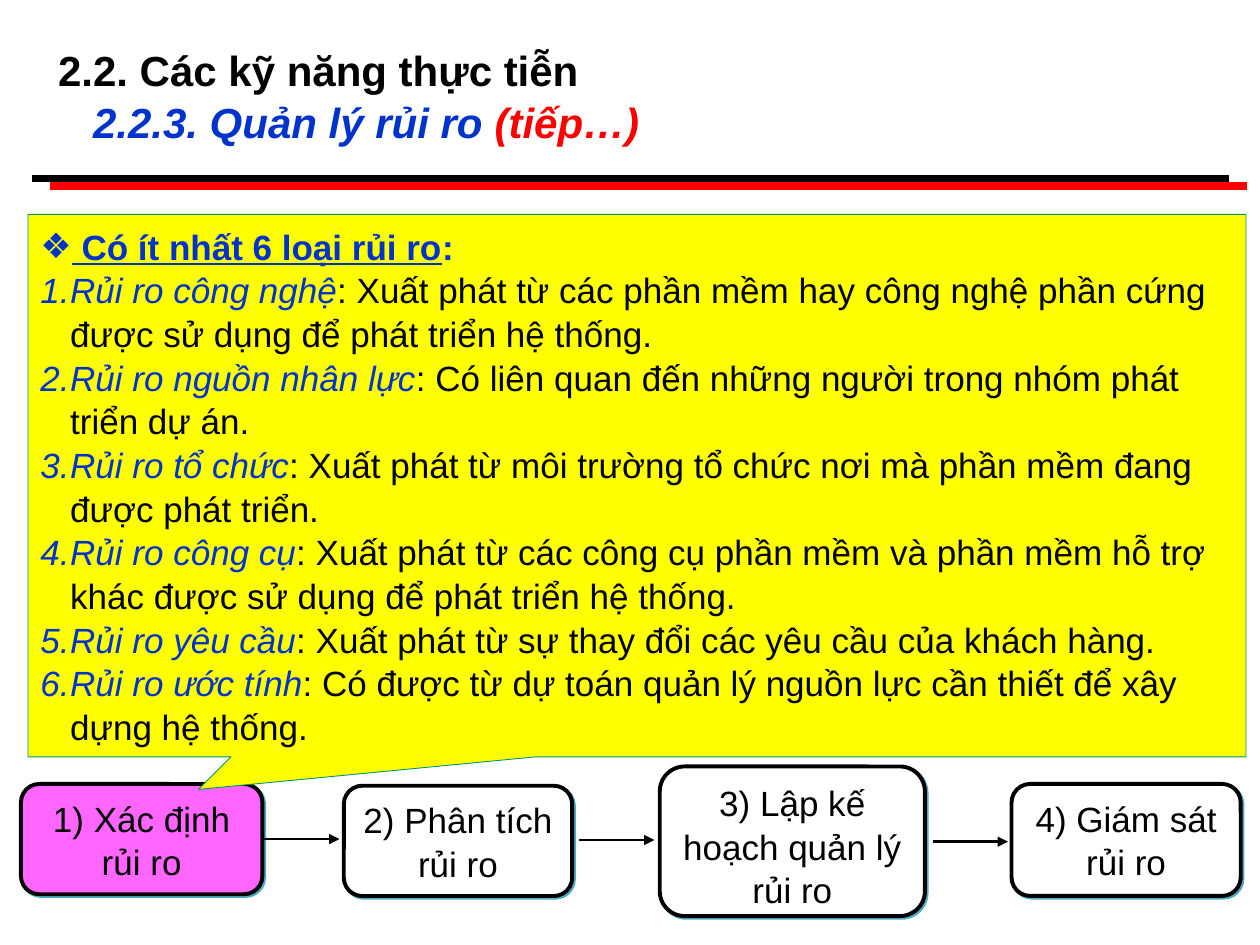
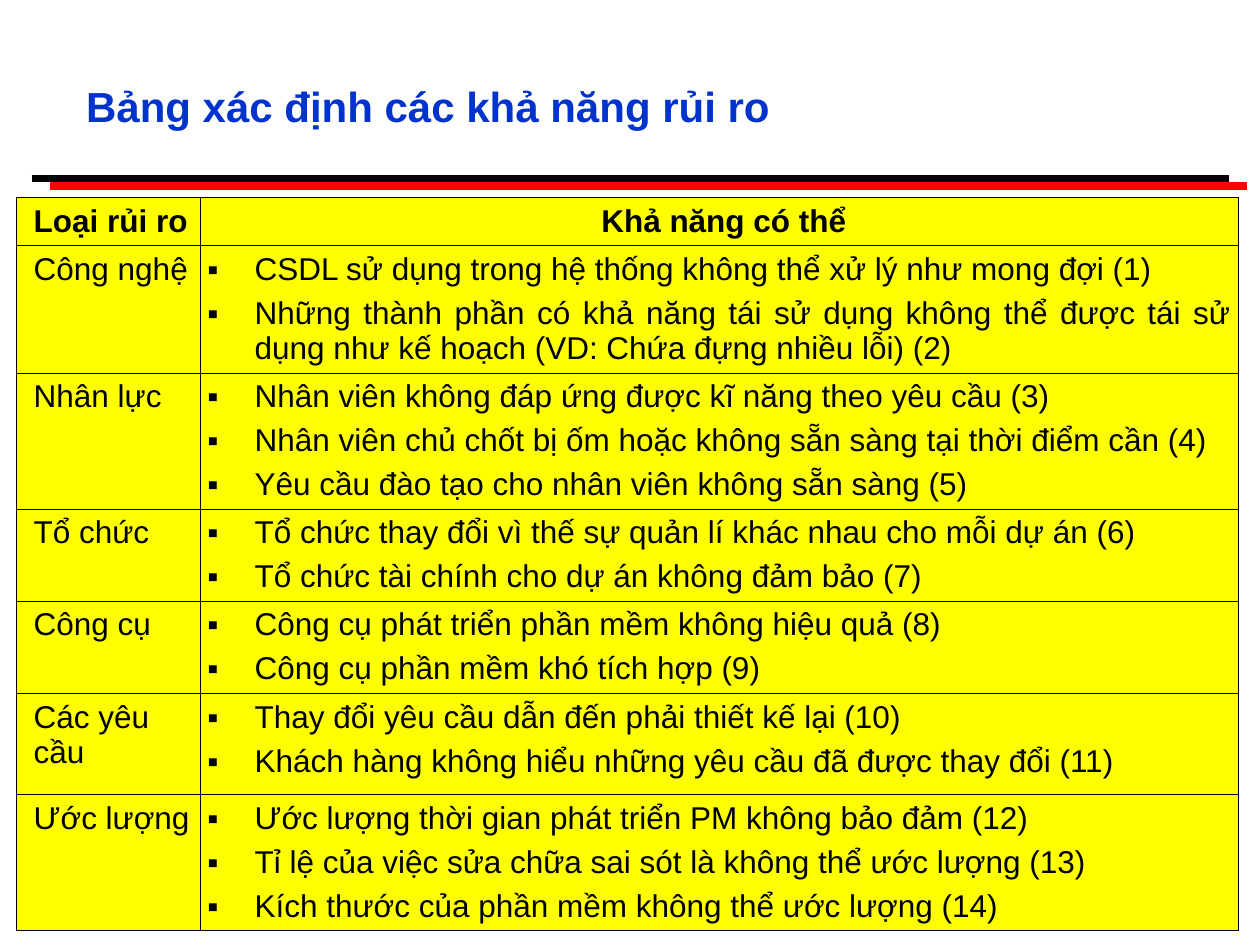
"""Build two slides on software project risks: a process with callout, and a risk table."""
from lxml.etree import SubElement
from pptx import Presentation
from pptx.dml.color import RGBColor
from pptx.enum.shapes import MSO_CONNECTOR as Conn, MSO_SHAPE as Form
from pptx.enum.text import MSO_ANCHOR as Anchor, PP_ALIGN as Align
from pptx.oxml import parse_xml
from pptx.oxml.ns import nsdecls, qn
from pptx.util import Pt

HUES = {
    "black": "000000", "white": "FFFFFF", "red": "FF0000", "blue": "0033CC",
    "yellow": "FFFF00", "pink": "FF66FF", "green": "00956F", "teal": "4BACC6",
}
FONT = "Arial"
LEAD = 1.04

STEPS = [
    ("1) Xác định rủi ro", "pink", (12, 448, 138, 63)),
    ("2) Phân tích rủi ro", "white", (196.5, 449, 130.5, 63)),
    ("3) Lập kế hoạch quản lý rủi ro", "white", (377, 438, 151.5, 85.5)),
    ("4) Giám sát rủi ro", "white", (578, 448, 131, 64)),
]
ARROWS = [(151, 479.5), (331, 480), (533, 481)]
REACH = 43

RISKS = [
    ("Rủi ro công nghệ", "Xuất phát từ các phần mềm hay công nghệ phần cứng "
     "được sử dụng để phát triển hệ thống."),
    ("Rủi ro nguồn nhân lực", "Có liên quan đến những người trong nhóm phát triển dự án."),
    ("Rủi ro tổ chức", "Xuất phát từ môi trường tổ chức nơi mà phần mềm đang được phát triển."),
    ("Rủi ro công cụ", "Xuất phát từ các công cụ phần mềm và phần mềm hỗ trợ khác "
     "được sử dụng để phát triển hệ thống."),
    ("Rủi ro yêu cầu", "Xuất phát từ sự thay đổi các yêu cầu của khách hàng."),
    ("Rủi ro ước tính", "Có được từ dự toán quản lý nguồn lực cần thiết để xây dựng hệ thống."),
]

HEADS = ("Loại rủi ro", "Khả năng có thể")
ROWS = [
    ("Công nghệ", 70, [
        "CSDL sử dụng trong hệ thống không thể xử lý như mong đợi (1)",
        "Những thành phần có khả năng tái sử dụng không thể được tái sử dụng "
        "như kế hoạch (VD: Chứa đựng nhiều lỗi) (2)"]),
    ("Nhân lực", 75, [
        "Nhân viên không đáp ứng được kĩ năng theo yêu cầu (3)",
        "Nhân viên chủ chốt bị ốm hoặc không sẵn sàng tại thời điểm cần (4)",
        "Yêu cầu đào tạo cho nhân viên không sẵn sàng (5)"]),
    ("Tổ chức", 48, [
        "Tổ chức thay đổi vì thế sự quản lí khác nhau cho mỗi dự án (6)",
        "Tổ chức tài chính cho dự án không đảm bảo (7)"]),
    ("Công cụ", 53, [
        "Công cụ phát triển phần mềm không hiệu quả (8)",
        "Công cụ phần mềm khó tích hợp (9)"]),
    ("Các yêu cầu", 57.5, [
        "Thay đổi yêu cầu dẫn đến phải thiết kế lại (10)",
        "Khách hàng không hiểu những yêu cầu đã được thay đổi (11)"]),
    ("Ước lượng", 75, [
        "Ước lượng thời gian phát triển PM không bảo đảm (12)",
        "Tỉ lệ của việc sửa chữa sai sót là không thể ước lượng (13)",
        "Kích thước của phần mềm không thể ước lượng (14)"]),
]


def tint(name):
    return RGBColor.from_string(HUES[name])


def style(run, size, hue="black", bold=False, slant=False, under=False):
    font = run.font
    font.name, font.size = FONT, Pt(size)
    font.bold, font.italic, font.underline = bold, slant, under
    font.color.rgb = tint(hue)


def write(para, size, *parts):
    for text, look in parts:
        run = para.add_run()
        run.text = text
        style(run, size, **look)


def paras(frame, count):
    return [frame.paragraphs[0]] + [frame.add_paragraph() for _ in range(count - 1)]


def indent(para, left, first=0):
    props = para._p.get_or_add_pPr()
    props.set("marL", str(Pt(left)))
    props.set("indent", str(Pt(first)))
    return props


def bullet(para, left, hue, mark=None):
    props = indent(para, left, -left)
    SubElement(SubElement(props, qn("a:buClr")), qn("a:srgbClr"), val=HUES[hue])
    SubElement(props, qn("a:buFont"), typeface=FONT)
    if mark:
        SubElement(props, qn("a:buChar"), char=mark)
    else:
        SubElement(props, qn("a:buAutoNum"), type="arabicPeriod")


def stroke(slide, x1, y1, x2, y2, hue, width):
    line = slide.shapes.add_connector(Conn.STRAIGHT, Pt(x1), Pt(y1), Pt(x2), Pt(y2))
    line.line.color.rgb = tint(hue)
    line.line.width = Pt(width)
    SubElement(line.element.spPr, qn("a:effectLst"))
    return line


def arrow(slide, x, y):
    line = stroke(slide, x, y, x + REACH, y, "black", 1.5)
    SubElement(line.line._get_or_add_ln(), qn("a:tailEnd"), type="triangle")
    return line


def band(layout, slide):
    for x, y, hue in [(18, 102, "black"), (28.5, 106.5, "red")]:
        line = stroke(slide, x, y, x + 684, y, hue, 4.5)
        layout.shapes.element.append(line.element)


def title(slide, spot, lines):
    head = slide.shapes.title
    head.left, head.top, head.width, head.height = map(Pt, spot)
    frame = head.text_frame
    frame.vertical_anchor = Anchor.MIDDLE
    for para, (left, parts) in zip(paras(frame, len(lines)), lines):
        para.alignment = Align.LEFT
        para.line_spacing = LEAD
        indent(para, left)
        write(para, 24, *parts)


def block(slide, form, spot, fill, edge, width):
    shape = slide.shapes.add_shape(form, *map(Pt, spot))
    shape.shadow.inherit = False
    shape.fill.solid()
    shape.fill.fore_color.rgb = tint(fill)
    shape.line.color.rgb = tint(edge)
    shape.line.width = Pt(width)
    shape.text_frame.word_wrap = True
    return shape


def step(slide, text, fill, spot):
    box = block(slide, Form.ROUNDED_RECTANGLE, spot, fill, "black", 2.25)
    glow = SubElement(box.element.spPr.find(qn("a:effectLst")), qn("a:outerShdw"),
                      blurRad="0", dist=str(Pt(1.4)), dir="2700000", algn="ctr")
    SubElement(glow, qn("a:srgbClr"), val=HUES["teal"])
    frame = box.text_frame
    frame.vertical_anchor = Anchor.TOP
    para = frame.paragraphs[0]
    para.alignment = Align.CENTER
    para.line_spacing = LEAD
    write(para, 20, (text, {}))
    return box


def callout(slide):
    note = block(slide, Form.RECTANGULAR_CALLOUT, (16, 122.5, 696, 310),
                 "yellow", "green", 0.5)
    note.adjustments[0], note.adjustments[1] = -0.36, 0.56
    frame = note.text_frame
    frame.vertical_anchor = Anchor.MIDDLE
    first, *rest = paras(frame, len(RISKS) + 1)
    for para in (first, *rest):
        para.alignment = Align.LEFT
        para.line_spacing = LEAD
        bullet(para, 17, "blue", "❖" if para is first else None)
    lead = {"hue": "blue", "bold": True}
    write(first, 20, (" Có ít nhất 6 loại rủi ro", {**lead, "under": True}), (":", lead))
    for para, (name, text) in zip(rest, RISKS):
        write(para, 20, (name, {"hue": "blue", "slant": True}), (f": {text}", {}))


def cell_text(cell, lines, align, bold=False, mark=None):
    cell.margin_left = cell.margin_right = Pt(4.3)
    cell.margin_top = cell.margin_bottom = Pt(3.6)
    cell.fill.solid()
    cell.fill.fore_color.rgb = tint("yellow")
    props = cell._tc.get_or_add_tcPr()
    for spot, side in enumerate("LRTB"):
        props.insert(spot, parse_xml(
            f'<a:ln{side} {nsdecls("a")} w="{Pt(0.45)}"><a:solidFill>'
            f'<a:srgbClr val="{HUES["black"]}"/></a:solidFill></a:ln{side}>'))
    for para, text in zip(paras(cell.text_frame, len(lines)), lines):
        para.alignment = align
        para.space_before, para.space_after = Pt(3), Pt(2)
        if mark:
            bullet(para, 27, "black", mark)
        else:
            indent(para, 5.5)
        write(para, 18, (text, {"bold": bold}))


def grid(slide):
    spot = map(Pt, (9.5, 113, 698, 400))
    table = slide.shapes.add_table(len(ROWS) + 1, 2, *spot).table
    table.first_row = table.horz_banding = False
    for col, width in zip(table.columns, (104.75, 593.25)):
        col.width = Pt(width)
    table.rows[0].height = Pt(21.5)
    for col, align in enumerate((Align.JUSTIFY, Align.CENTER)):
        cell_text(table.cell(0, col), [HEADS[col]], align, bold=True)
    for row, (kind, height, items) in enumerate(ROWS, 1):
        table.rows[row].height = Pt(height)
        cell_text(table.cell(row, 0), [kind], Align.LEFT)
        cell_text(table.cell(row, 1), items, Align.JUSTIFY, mark="▪")


def main():
    deck = Presentation()
    deck.slide_width, deck.slide_height = Pt(720), Pt(540)
    layout = deck.slide_layouts[5]

    flow = deck.slides.add_slide(layout)
    band(layout, flow)
    blue = {"hue": "blue", "bold": True}
    title(flow, (26, 24, 654, 60), [
        (0, [("2.2. Các kỹ năng thực tiễn", {"bold": True})]),
        (20, [("2.2.3. Quản lý rủi ro ", {**blue, "slant": True}),
              ("(tiếp…)", {"hue": "red", "bold": True, "slant": True})]),
    ])
    boxes = [step(flow, *item) for item in STEPS]
    links = [arrow(flow, *spot) for spot in ARROWS]
    links[0].begin_connect(boxes[0], 3)
    callout(flow)

    chart = deck.slides.add_slide(layout)
    title(chart, (42, 36, 654, 48), [(0, [("Bảng xác định các khả năng rủi ro", blue)])])
    grid(chart)
    deck.save("out.pptx")


if __name__ == "__main__":
    main()
